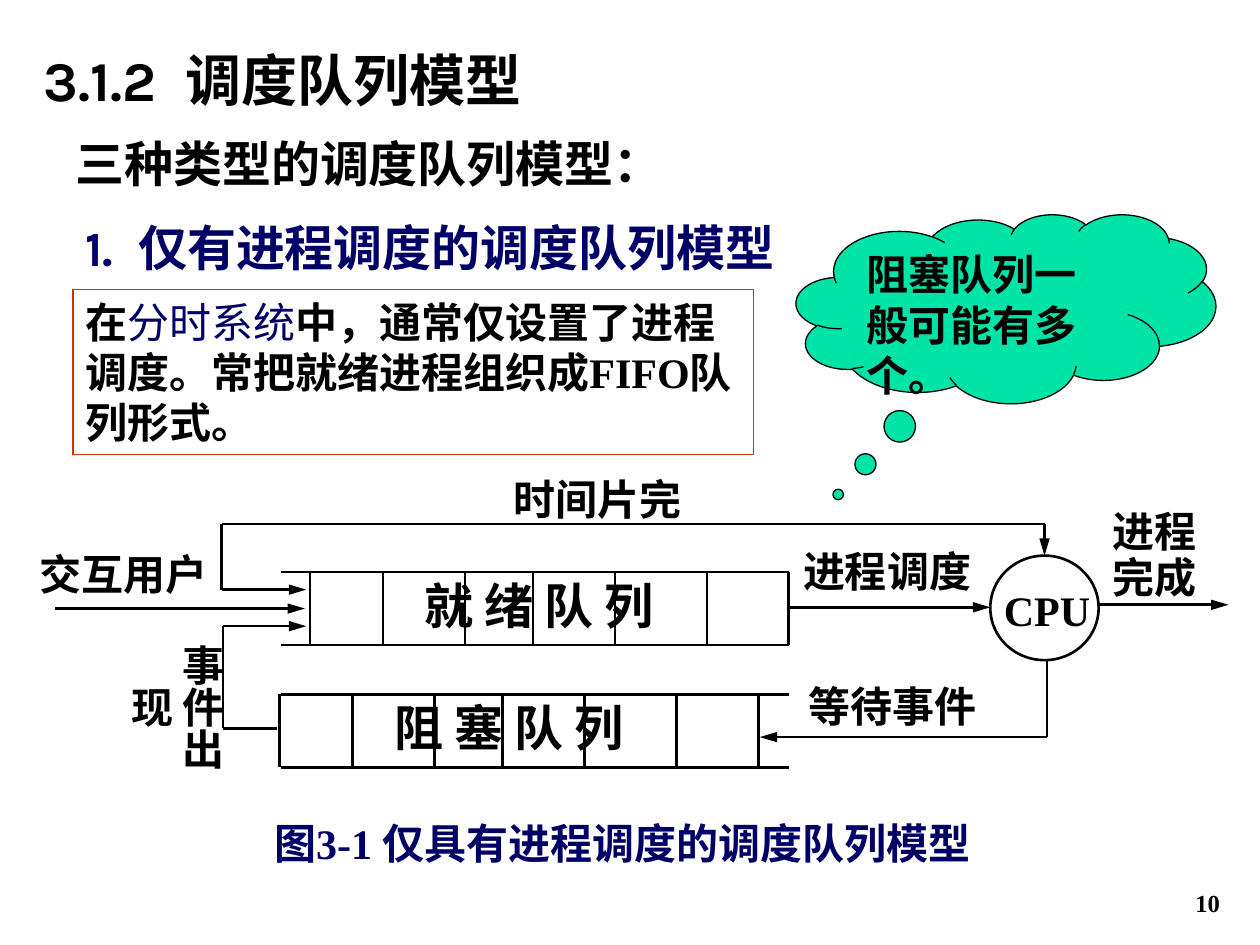
from lxml.etree import SubElement
from pptx import Presentation
from pptx.dml.color import RGBColor
from pptx.enum.shapes import MSO_CONNECTOR as Link, MSO_SHAPE as Shape
from pptx.enum.text import MSO_ANCHOR as Anchor, PP_ALIGN as Align
from pptx.oxml.ns import qn
from pptx.util import Inches, Pt

COLORS = {"black": "000000", "navy": "000066", "rust": "CC3300",
          "green": "00E4A8", "white": "FFFFFF"}
CJK, KARLA, TIMES = "Noto Sans CJK SC", "Karla", "Times New Roman"

deck = Presentation()
deck.slide_width, deck.slide_height = Inches(10), Inches(7.5)
slide = deck.slides.add_slide(deck.slide_layouts[6])
shapes = slide.shapes


def add_text(text, box=None, into=None, size=24, font=CJK, color="black",
             align=Align.LEFT, anchor=Anchor.TOP, tight=False, spacing=None):
    """Write text, or a list of (text, color, bold) runs, in a box or shape."""
    holder = into if into is not None else shapes.add_textbox(*map(Inches, box))
    frame = holder.text_frame
    frame.word_wrap = True
    frame.vertical_anchor = anchor
    if tight:
        frame.margin_left = frame.margin_right = Inches(0.02)
        frame.margin_top = frame.margin_bottom = Inches(0.01)
    paragraph = frame.paragraphs[0]
    paragraph.alignment = align
    if spacing:
        paragraph.line_spacing = spacing
    runs = [(text, color, True)] if isinstance(text, str) else text
    for words, run_color, bold in runs:
        run = paragraph.add_run()
        run.text = words
        run.font.size, run.font.bold, run.font.name = Pt(size), bold, font
        run.font.color.rgb = RGBColor.from_string(COLORS[run_color])
        SubElement(run.font._element, qn("a:ea")).set("typeface", CJK)
    return holder


def add_line(x1, y1, x2, y2, arrow=False):
    line = shapes.add_connector(Link.STRAIGHT, *map(Inches, (x1, y1, x2, y2)))
    line.line.width = Pt(1.5)
    line.line.color.rgb = RGBColor.from_string(COLORS["black"])
    if arrow:
        SubElement(line.line._get_or_add_ln(), qn("a:tailEnd"),
                   type="triangle", w="med", len="lg")
    SubElement(line._element.spPr, qn("a:effectLst"))
    return line


# Headings and page number
add_text("10", (7.7, 6.83, 2.08, 0.5), size=14, font=TIMES,
         align=Align.RIGHT, anchor=Anchor.BOTTOM)
add_text("3.1.2  调度队列模型", (0.25, 0.25, 9, 0.69), size=32, font=KARLA,
         anchor=Anchor.BOTTOM)
add_text("三种类型的调度队列模型：", (0.5, 1.01, 6.72, 0.57), size=28)
add_text("1.  仅有进程调度的调度队列模型", (0.58, 1.68, 5.95, 0.57), size=28,
         font=KARLA, color="navy")

# Framed summary, cloud remark and CPU
outlined = []
for kind, box, fill, edge, width in [
    (Shape.RECTANGLE, (0.58, 2.3, 5.4, 1.31), None, "rust", 0.75),
    (Shape.CLOUD_CALLOUT, (6.32, 1.7, 3.33, 1.5), "green", "black", 0.75),
    (Shape.OVAL, (7.86, 4.41, 0.86, 0.83), "white", "black", 1.5),
]:
    shape = shapes.add_shape(kind, *map(Inches, box))
    shape.shadow.inherit = False
    if fill:
        shape.fill.solid()
        shape.fill.fore_color.rgb = RGBColor.from_string(COLORS[fill])
    else:
        shape.fill.background()
    shape.line.color.rgb = RGBColor.from_string(COLORS[edge])
    shape.line.width = Pt(width)
    outlined.append(shape)
summary, remark, cpu = outlined
add_text([("在", "black", True), ("分时系统", "navy", False),
          ("中，通常仅设置了进程调度。常把就绪进程组织成FIFO队列形式。", "black", True)],
         into=summary, font=TIMES)
remark.adjustments[0], remark.adjustments[1] = -0.4, 0.983
add_text("阻塞队列一般可能有多个。", into=remark, font=KARLA)
add_text("CPU", (7.88, 4.63, 0.86, 0.42), font=TIMES, align=Align.CENTER, tight=True)

# Ready and blocked queues: two rails with the same cell dividers
for label, left, top in [("就 绪 队 列", 2.46, 4.54), ("阻 塞 队 列", 2.22, 5.51)]:
    bottom = top + 0.58
    for rail in (top, bottom):
        add_line(2.23, rail, 6.26, rail)
    add_text(label, (left + 0.6, top - 0.02, 2.44, 0.57), size=28, align=Align.CENTER)
    for offset in (0, 0.58, 1.23, 1.77, 2.42, 3.15, 3.8):
        add_line(left + offset, top, left + offset, bottom)

# Flow: corner points of each route, the last leg carrying the arrowhead
for route in [
    [(0.44, 4.83), (2.42, 4.83)],
    [(2.2, 5.78), (1.77, 5.78), (1.77, 4.97), (2.43, 4.97)],
    [(8.29, 4.16), (1.76, 4.16), (1.76, 4.68), (2.43, 4.68)],
    [(6.26, 4.82), (7.86, 4.82)],
    [(8.72, 4.8), (9.75, 4.8)],
    [(8.31, 5.24), (8.31, 5.85), (6.03, 5.85)],
]:
    for start, end in zip(route, route[1:]):
        add_line(*start, *end, arrow=end == route[-1])
add_line(8.29, 4.16, 8.29, 4.41, arrow=True).end_connect(cpu, 0)

# Flow labels
for label, left, top in [("交互用户", 0.22, 4.34), ("进程调度", 6.28, 4.32),
                         ("时间片完", 3.98, 3.75), ("等待事件", 6.32, 5.39)]:
    add_text(label, (left, top, 1.52, 0.42), align=Align.CENTER, tight=True)
add_text("进程完成", (8.76, 4.05, 0.81, 0.74), align=Align.CENTER, tight=True, spacing=0.9)
event = add_text("事件出现", (1.25, 5.02, 0.6, 1.49), align=Align.CENTER)
event.text_frame._txBody.bodyPr.set("vert", "eaVert")

# Caption
add_text("图3-1 仅具有进程调度的调度队列模型", (2, 6.44, 5.88, 0.5), font=TIMES,
         color="navy", align=Align.CENTER)

deck.save("out.pptx")
